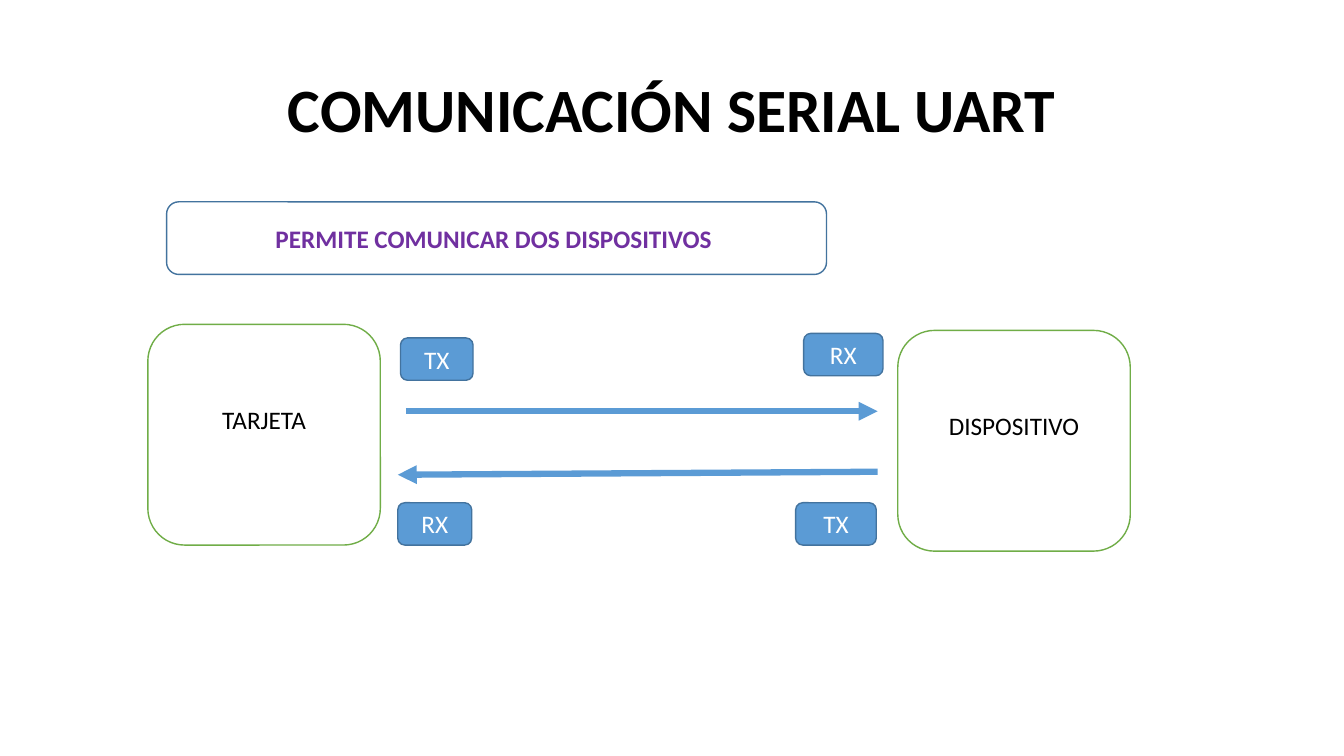
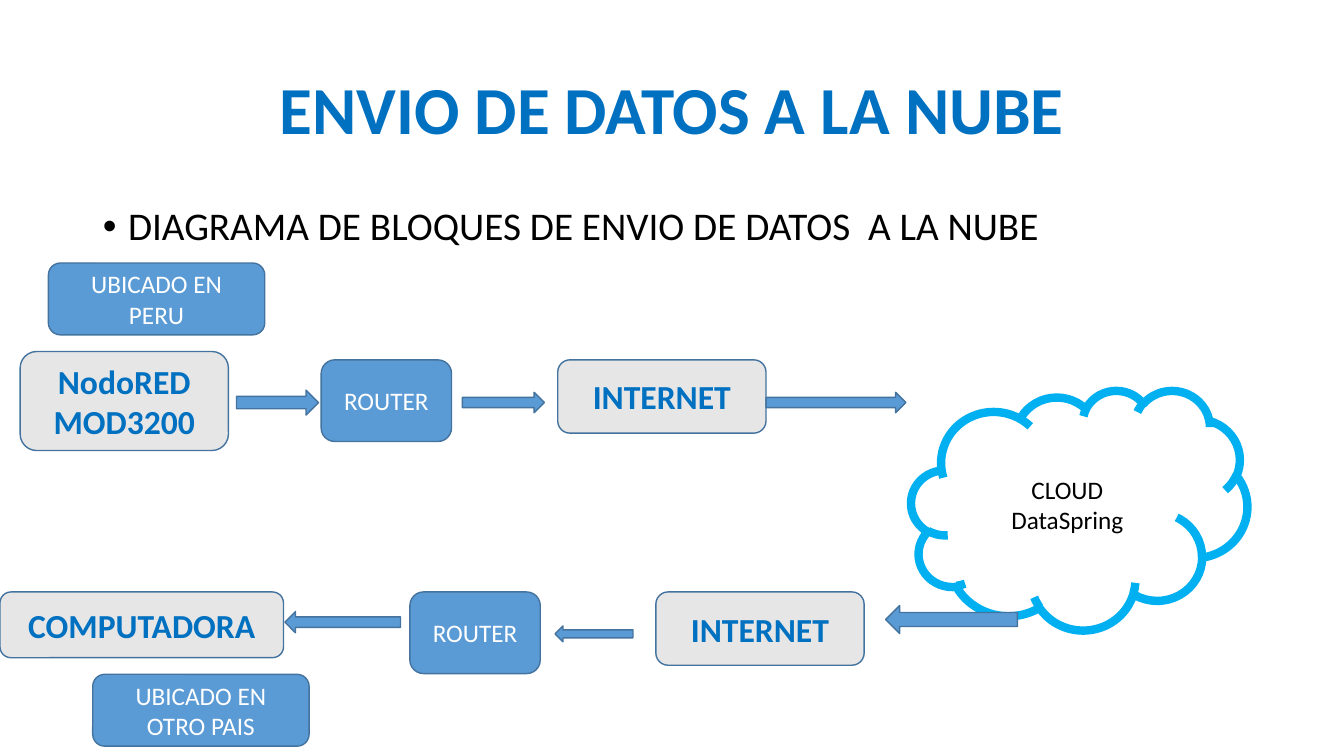
"""Two block diagrams: serial UART communication and sending data to the cloud."""
from dataclasses import dataclass
from typing import Optional

from lxml.etree import SubElement
from pptx import Presentation
from pptx.dml.color import RGBColor
from pptx.enum.shapes import MSO_CONNECTOR as Conn, MSO_SHAPE as Geo
from pptx.enum.text import MSO_ANCHOR as Anchor, MSO_AUTO_SIZE as AutoSize, PP_ALIGN as Align
from pptx.oxml.ns import qn
from pptx.util import Emu, Inches, Pt

FONT = "Calibri"
COLORS = {
    "black": "000000", "white": "FFFFFF", "gray": "E7E6E6", "blue": "5B9BD5",
    "edge": "43739E", "green": "70AD47", "purple": "7030A0",
    "strong": "0070C0", "sky": "00B0F0",
}

prs = Presentation()
prs.slide_width, prs.slide_height = Inches(13.33), Inches(7.5)
COL, ROW = prs.slide_width / 100, prs.slide_height / 100
LEFT, WIDTH = 6.9, 86.2


@dataclass(frozen=True)
class Style:
    fill: Optional[str]
    line: str
    color: str
    size: int = 18
    bold: bool = False
    weight: float = 1
    geo: Geo = Geo.ROUNDED_RECTANGLE
    lift: float = 0


@dataclass(frozen=True)
class Block:
    text: str
    col: float
    row: float
    cols: float
    rows: float
    style: Style


@dataclass(frozen=True)
class Wire:
    col1: float
    row1: float
    col2: float
    row2: float


DEVICE = Style("white", "green", "black", lift=0.3)
LABEL = Style("blue", "edge", "white")
NOTE = Style(None, "edge", "purple", bold=True)
STAGE = Style("gray", "edge", "strong", 24, True)
CLOUD = Style("white", "sky", "black", weight=6, geo=Geo.CLOUD)
RIGHT = Style("blue", "edge", "white", geo=Geo.RIGHT_ARROW)
BACK = Style("blue", "edge", "white", geo=Geo.LEFT_ARROW)

UART_BLOCKS = [
    Block("TARJETA", 11, 42.9, 17.3, 29.2, DEVICE),
    Block("DISPOSITIVO", 66.8, 43.7, 17.3, 29.2, DEVICE),
    Block("TX", 29.8, 44.7, 5.4, 5.6, LABEL),
    Block("RX", 29.6, 66.5, 5.5, 5.6, LABEL),
    Block("RX", 59.8, 44.1, 5.9, 5.6, LABEL),
    Block("TX", 59.2, 66.5, 6, 5.6, LABEL),
    Block("PERMITE COMUNICAR DOS DISPOSITIVOS ", 12.4, 26.7, 49.1, 9.6, NOTE),
]
UART_WIRES = [Wire(30.2, 54.4, 65.3, 54.4), Wire(65.3, 62.4, 29.6, 62.8)]

CLOUD_BLOCKS = [
    Block("NodoRED\nMOD3200", 1.5, 46.5, 15.5, 13.1, STAGE),
    Block("INTERNET", 41.5, 47.6, 15.5, 9.7, STAGE),
    Block("INTERNET", 48.8, 78.3, 15.5, 9.7, STAGE),
    Block("COMPUTADORA", 0, 78.3, 21.1, 8.7, STAGE),
    Block("CLOUD\nDataSpring", 67.8, 51.6, 25, 31.7, CLOUD),
    Block("ROUTER", 23.9, 47.6, 9.7, 10.8, LABEL),
    Block("ROUTER", 30.5, 78.3, 9.7, 10.8, LABEL),
    Block("UBICADO EN PERU", 3.6, 34.8, 16.1, 9.5, LABEL),
    Block("UBICADO EN OTRO PAIS", 6.9, 89.2, 16.1, 9.5, LABEL),
    Block("", 17.6, 51.6, 6.1, 3.3, RIGHT),
    Block("", 34.4, 51.9, 6.1, 2.7, RIGHT),
    Block("", 57, 51.9, 10.4, 2.7, RIGHT),
    Block("", 65.9, 80.1, 9.8, 3.7, BACK),
    Block("", 41.3, 82.8, 5.8, 2.1, BACK),
    Block("", 21.2, 80.9, 8.6, 2.8, BACK),
]


def rgb(name: str) -> RGBColor:
    return RGBColor.from_string(COLORS[name])


def x(cols: float) -> Emu:
    return Emu(round(cols * COL))


def y(rows: float) -> Emu:
    return Emu(round(rows * ROW))


def add_run(p, text: str, size: int, color: str, bold: bool = False) -> None:
    r = p.add_run()
    r.text = text
    r.font.name, r.font.size, r.font.bold = FONT, Pt(size), bold
    r.font.color.rgb = rgb(color)


def place(sp, row: float, rows: float, anchor: Anchor):
    sp.left, sp.top, sp.width, sp.height = x(LEFT), y(row), x(WIDTH), y(rows)
    tf = sp.text_frame
    tf.auto_size, tf.vertical_anchor = AutoSize.NONE, anchor
    p = tf.paragraphs[0]
    p.line_spacing = 0.9
    return p


def add_slide(layout: int, title: str, size: int, color: str):
    s = prs.slides.add_slide(prs.slide_layouts[layout])
    p = place(s.shapes.title, 5.3, 19.3, Anchor.MIDDLE)
    p.alignment = Align.CENTER
    add_run(p, title, size, color, True)
    return s


def add_bullet(s, text: str) -> None:
    p = place(s.placeholders[1], 26.7, 63.5, Anchor.TOP)
    p.space_before = Pt(10)
    pPr = p._p.get_or_add_pPr()
    pPr.set("marL", str(Inches(0.25)))
    pPr.set("indent", str(Inches(-0.25)))
    SubElement(pPr, qn("a:buFont"), typeface="Arial")
    SubElement(pPr, qn("a:buChar"), char="•")
    add_run(p, text, 28, "black")


def add_block(s, block: Block) -> None:
    st = block.style
    sp = s.shapes.add_shape(st.geo, x(block.col), y(block.row), x(block.cols), y(block.rows))
    sp.shadow.inherit = False
    if st.fill:
        sp.fill.solid()
        sp.fill.fore_color.rgb = rgb(st.fill)
    else:
        sp.fill.background()
    sp.line.color.rgb, sp.line.width = rgb(st.line), Pt(st.weight)
    if not block.text:
        return
    tf = sp.text_frame
    tf.word_wrap, tf.vertical_anchor = True, Anchor.MIDDLE
    tf.margin_bottom = Inches(0.05 + st.lift)
    for i, text in enumerate(block.text.split("\n")):
        p = tf.add_paragraph() if i else tf.paragraphs[0]
        p.alignment = Align.CENTER
        add_run(p, text, st.size, st.color, st.bold)


def add_wire(s, wire: Wire) -> None:
    c = s.shapes.add_connector(
        Conn.STRAIGHT, x(wire.col1), y(wire.row1), x(wire.col2), y(wire.row2))
    c.line.color.rgb, c.line.width = rgb("blue"), Pt(4.5)
    SubElement(c.line._get_or_add_ln(), qn("a:tailEnd"), type="triangle")
    SubElement(c._element.spPr, qn("a:effectLst"))


def main() -> None:
    s = add_slide(5, "COMUNICACIÓN SERIAL UART", 44, "black")
    for wire in UART_WIRES:
        add_wire(s, wire)
    for block in UART_BLOCKS:
        add_block(s, block)

    s = add_slide(1, "ENVIO DE DATOS A LA NUBE", 48, "strong")
    add_bullet(s, "DIAGRAMA DE BLOQUES DE ENVIO DE DATOS  A LA NUBE")
    for block in CLOUD_BLOCKS:
        add_block(s, block)
    prs.save("out.pptx")


if __name__ == "__main__":
    main()
